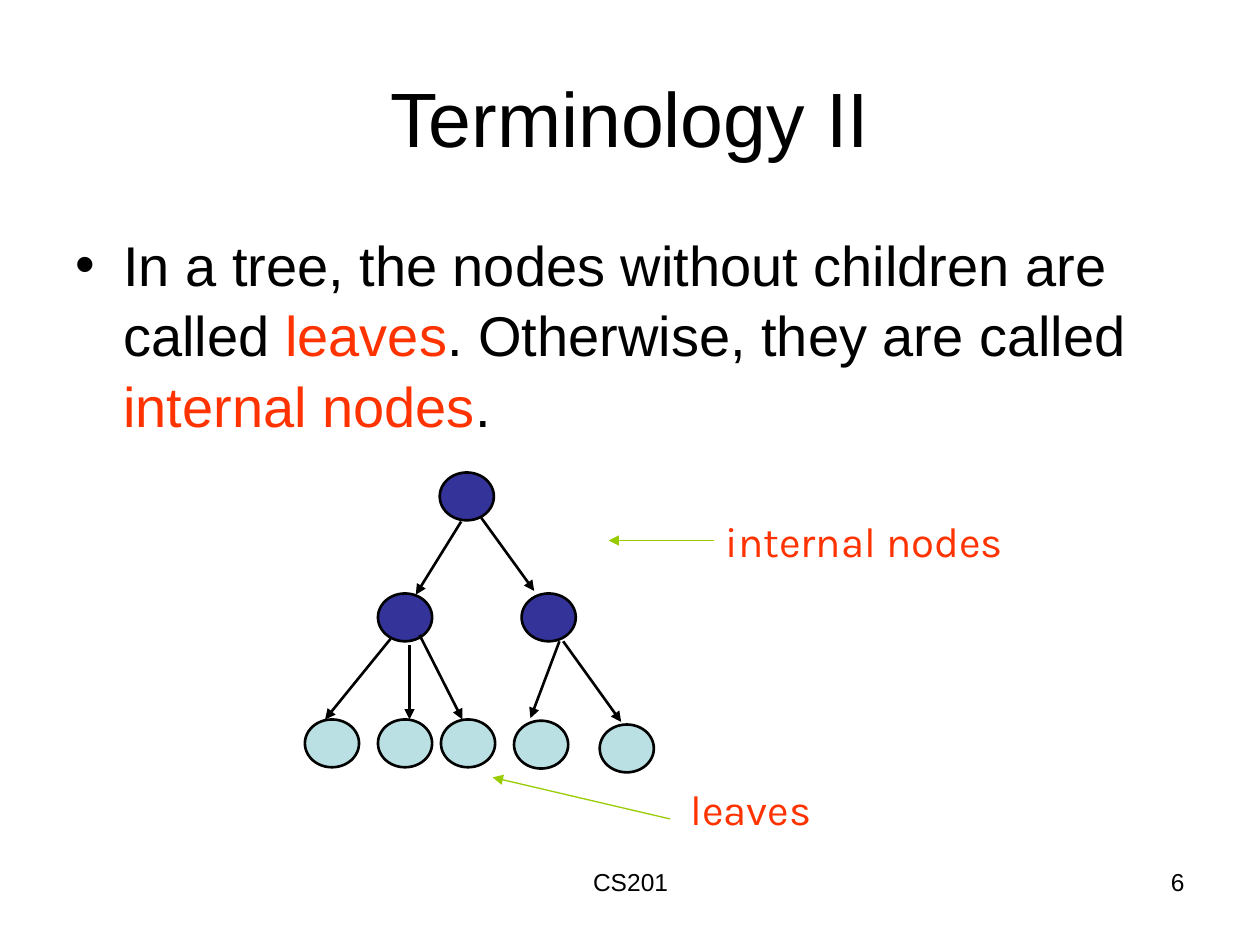
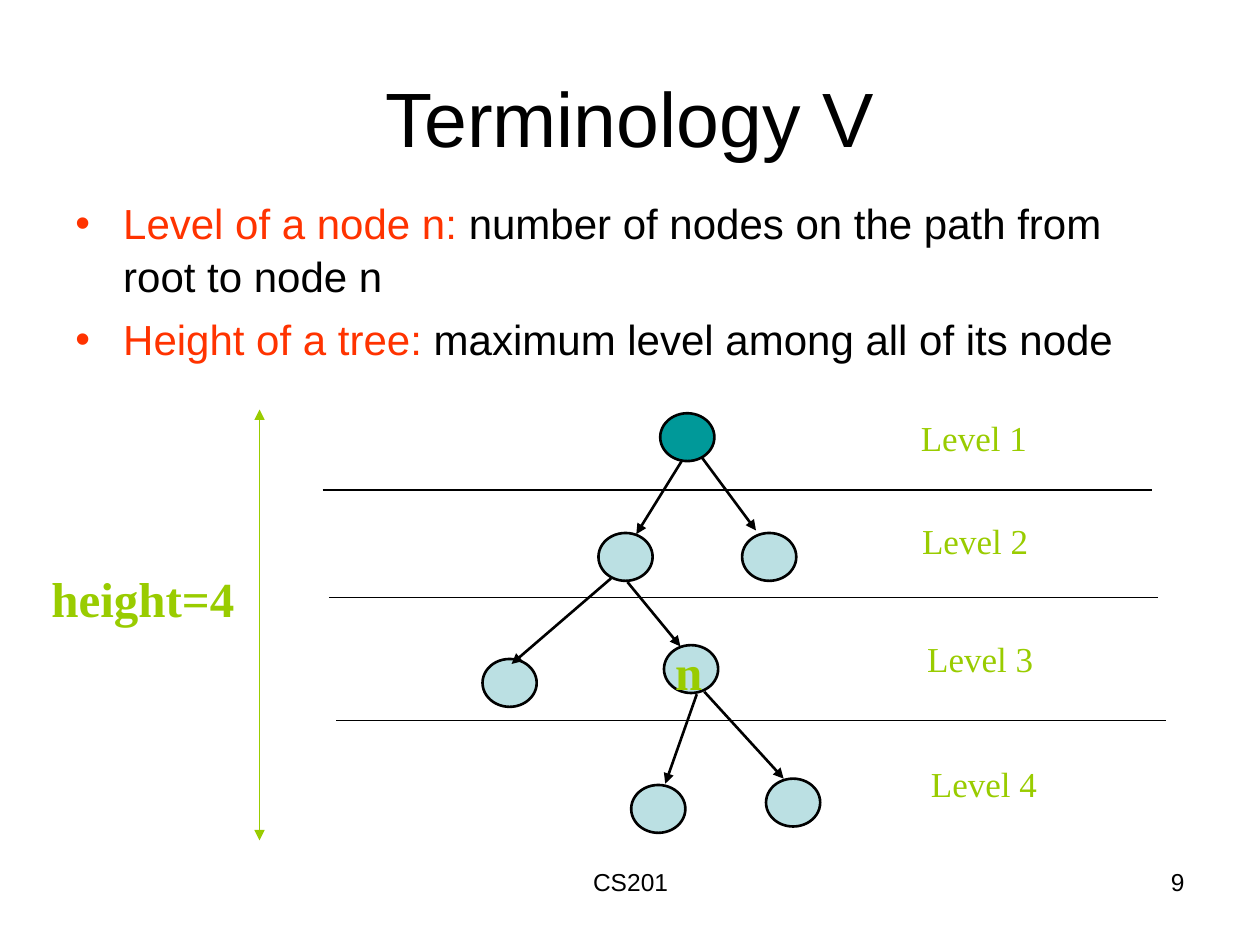
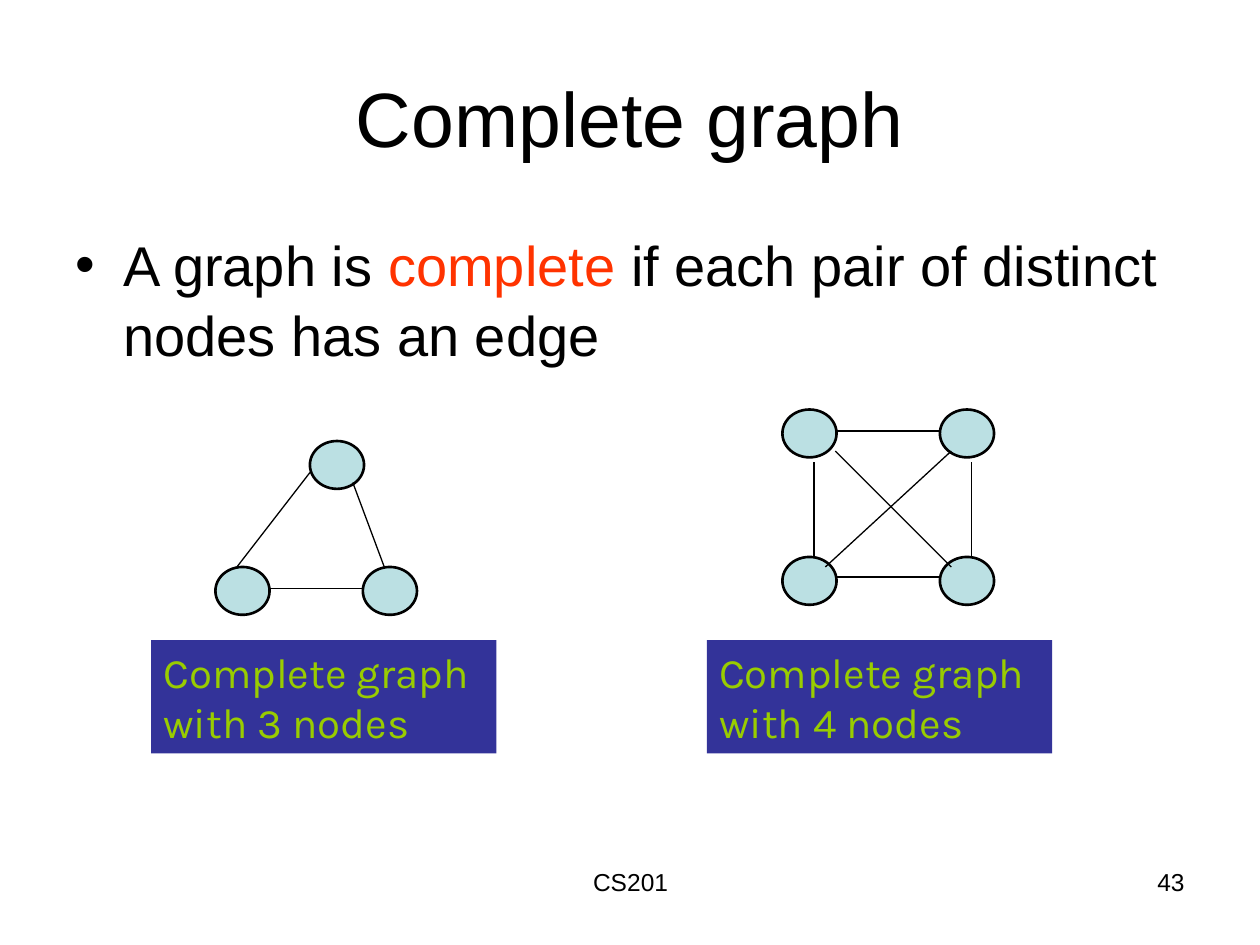
from lxml.etree import SubElement
from pptx import Presentation
from pptx.dml.color import RGBColor
from pptx.enum.shapes import MSO_CONNECTOR as CONNECTOR, MSO_SHAPE as SHAPE
from pptx.enum.text import MSO_ANCHOR as ANCHOR, PP_ALIGN as ALIGN
from pptx.oxml.ns import qn
from pptx.util import Emu, Pt

PX = 9144  # 100 px to the inch
BLACK, RED, LIME = "000000", "FF3300", "99CC00"
NAVY, PALE, TEAL = "333399", "BBE0E3", "009999"
SANS, SERIF, ROUND = "Arial", "Times New Roman", "Karla"
NODE_W, NODE_H = 43, 38
TREE_EDGE = dict(width=1.5, tail=True)
POINTER = dict(color=LIME, tail=True)
RED_LABEL = dict(font=ROUND, size=24, color=RED)
LEVEL_LABEL = dict(font=SERIF, size=20, color=LIME)
BOLD_LABEL = dict(font=SERIF, size=28, color=LIME, bold=True)
CAPTION = dict(font=ROUND, size=24, color=LIME, fill=NAVY)

# Nodes: fill -> (left, top). Lines: (x1, y1, x2, y2). Labels: (text, box, format).
SLIDES = [
    dict(
        title="Terminology II", number="6",
        body=dict(top=175, size=32, before=8, bullet=BLACK, paragraphs=[
            [("In a tree, the nodes without children are called ", BLACK), ("leaves", RED),
             (". Otherwise, they are called ", BLACK), ("internal nodes", RED), (".", BLACK)],
        ]),
        nodes={
            NAVY: [(349, 375), (300, 471), (414, 471)],
            PALE: [(242, 571), (300, 571), (350, 571), (408, 572), (476, 575)],
        },
        lines=[
            (TREE_EDGE, [(366, 414, 330, 472), (382, 411, 424, 469), (310, 507, 258, 571),
                         (325, 512, 325, 571), (333, 504, 367, 571), (444, 509, 421, 570),
                         (447, 509, 493, 573)]),
            (POINTER, [(567, 429, 483, 429), (532, 650, 391, 617)]),
        ],
        labels=[("internal nodes", (566, 404, 246, 50), RED_LABEL),
                ("leaves", (538, 617, 118, 50), RED_LABEL)],
    ),
    dict(
        title="Terminology V", number="9",
        body=dict(top=150, size=24, before=6, bullet=RED, paragraphs=[
            [("Level of a node n:", RED),
             (" number of nodes on the path from root to node n", BLACK)],
            [("Height of a tree: ", RED), ("maximum level among all of its node", BLACK)],
        ]),
        nodes={
            TEAL: [(524, 328)],
            PALE: [(475, 423), (589, 423), (383, 523), (527, 512), (501, 623), (608, 618)],
        },
        lines=[
            (TREE_EDGE, [(541, 366, 505, 424), (557, 363, 600, 421), (485, 459, 406, 527),
                         (498, 462, 540, 513), (553, 551, 528, 622), (559, 549, 622, 618)]),
            ({}, [(x, y, x + 658, y) for x, y in ((256, 389), (261, 474), (267, 572))]),
            (dict(POINTER, head=True), [(206, 325, 206, 667)]),
        ],
        labels=[("n", (526, 504, 39, 57), BOLD_LABEL),
                ("height=4", (31, 446, 178, 57), BOLD_LABEL)] + [
            (f"Level {level}", (x, y, 111, 44), LEVEL_LABEL)
            for level, (x, y) in enumerate([(721, 326), (722, 407), (726, 501), (729, 600)], 1)
        ],
    ),
    dict(
        title="Complete graph", number="43",
        body=dict(top=175, size=32, before=8, bullet=BLACK, paragraphs=[
            [("A graph is ", BLACK), ("complete", RED),
             (" if each pair of distinct nodes has an edge", BLACK)],
        ]),
        nodes={PALE: [(246, 350), (171, 450), (288, 450)]
               + [(x, y) for x in (621, 746) for y in (325, 442)]},
        lines=[({}, [
            (213, 467, 288, 467), (188, 450, 246, 375), (305, 450, 280, 383),
            (646, 367, 646, 442), (771, 367, 771, 442), (663, 342, 746, 342),
            (663, 458, 746, 458), (663, 358, 755, 450), (655, 450, 755, 358),
        ])],
        labels=[(f"Complete graph\nwith {count} nodes", (x, 508, 274, 90), CAPTION)
                for count, x in ((3, 120), (4, 561))],
    ),
]


def px(*lengths):
    return [Emu(length * PX) for length in lengths]


def rgb(value):
    return RGBColor.from_string(value)


def add_bullet(para, color):
    """Hang the paragraph on a coloured round bullet."""
    props = para._p.get_or_add_pPr()
    indent = str(38 * PX)
    props.set("marL", indent)
    props.set("indent", "-" + indent)
    SubElement(SubElement(props, qn("a:buClr")), qn("a:srgbClr"), val=color)
    SubElement(props, qn("a:buFont"), typeface=SANS)
    SubElement(props, qn("a:buChar"), char="•")


def add_text(page, text, place, font=SANS, size=14, color=BLACK, bold=False, fill=None,
             align=ALIGN.LEFT, anchor=ANCHOR.TOP, bullet=None, before=0, spacing=None):
    """Add text given as a string, or as paragraphs of (text, colour) spans."""
    if isinstance(text, str):
        text = [[(line, color)] for line in text.split("\n")]
    if fill:
        box = page.shapes.add_shape(SHAPE.RECTANGLE, *px(*place))
        box.shadow.inherit = False
        box.fill.solid()
        box.fill.fore_color.rgb = rgb(fill)
        box.line.fill.background()
    else:
        box = page.shapes.add_textbox(*px(*place))
    frame = box.text_frame
    frame.word_wrap = True
    frame.vertical_anchor = anchor
    for index, spans in enumerate(text):
        para = frame.add_paragraph() if index else frame.paragraphs[0]
        if bullet:
            add_bullet(para, bullet)
        para.alignment = align
        para.line_spacing = spacing
        if index:
            para.space_before = Pt(before)
        for words, span_color in spans:
            span = para.add_run()
            span.text = words
            span.font.name = font
            span.font.size = Pt(size)
            span.font.bold = bold
            span.font.color.rgb = rgb(span_color)


def add_node(page, left, top, fill):
    node = page.shapes.add_shape(SHAPE.OVAL, *px(left, top, NODE_W, NODE_H))
    node.shadow.inherit = False
    node.fill.solid()
    node.fill.fore_color.rgb = rgb(fill)
    node.line.color.rgb = rgb(BLACK)
    node.line.width = Pt(1.5)


def add_line(page, ends, color=BLACK, width=0.75, head=False, tail=False):
    line = page.shapes.add_connector(CONNECTOR.STRAIGHT, *px(*ends))
    line.line.color.rgb = rgb(color)
    line.line.width = Pt(width)
    outline = line.line._get_or_add_ln()
    for tag, wanted in (("a:headEnd", head), ("a:tailEnd", tail)):
        if wanted:
            SubElement(outline, qn(tag), type="triangle")
    SubElement(line._element.spPr, qn("a:effectLst"))


def add_page(deck, content):
    page = deck.slides.add_slide(deck.slide_layouts[6])
    add_text(page, "CS201", (342, 683, 317, 52), align=ALIGN.CENTER)
    add_text(page, content["number"], (717, 683, 233, 52), align=ALIGN.RIGHT)
    add_text(page, content["title"], (50, 30, 900, 125), size=44,
             align=ALIGN.CENTER, anchor=ANCHOR.MIDDLE)
    body = content["body"]
    add_text(page, body["paragraphs"], (50, body["top"], 900, 670 - body["top"]),
             size=body["size"], before=body["before"], bullet=body["bullet"], spacing=1.05)
    for fill, corners in content["nodes"].items():
        for left, top in corners:
            add_node(page, left, top, fill)
    for style, lines in content["lines"]:
        for ends in lines:
            add_line(page, ends, **style)
    for text, place, style in content["labels"]:
        add_text(page, text, place, **style)


def main():
    deck = Presentation()
    deck.slide_width, deck.slide_height = px(1000, 750)
    for content in SLIDES:
        add_page(deck, content)
    deck.save("out.pptx")


if __name__ == "__main__":
    main()
